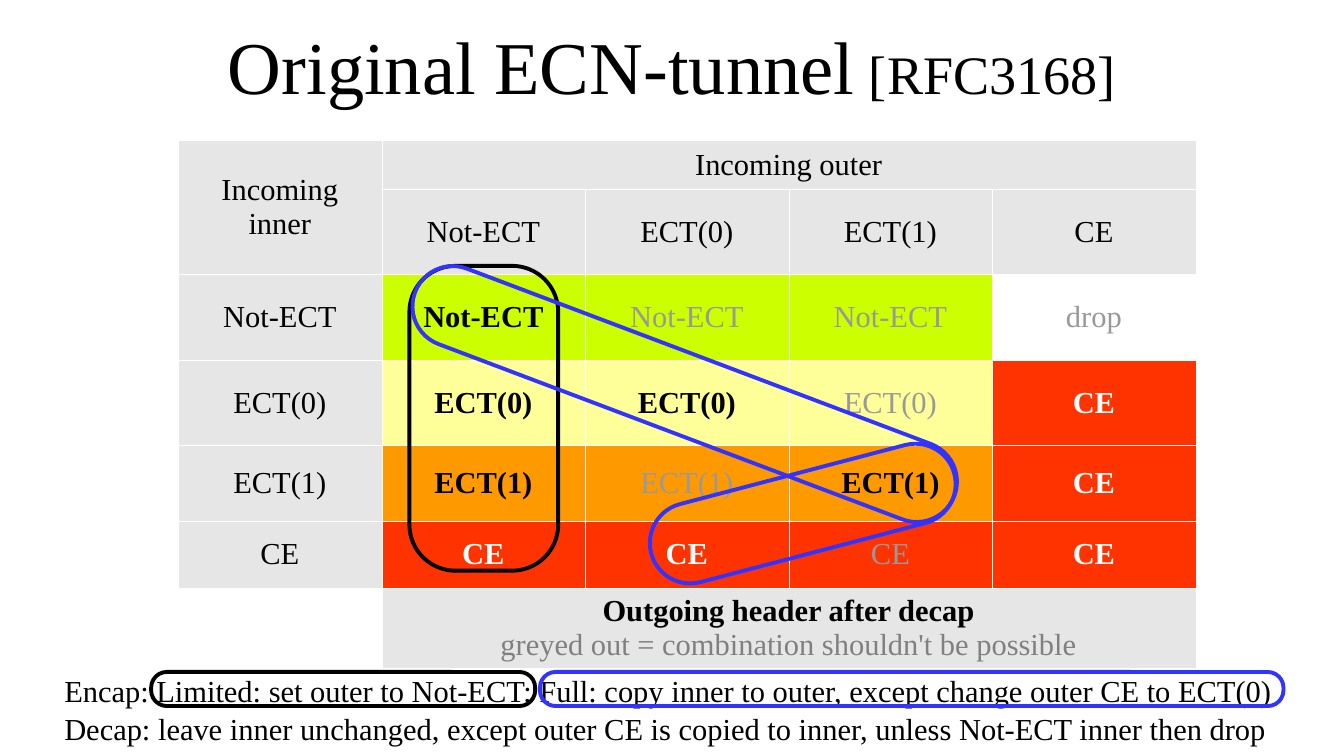
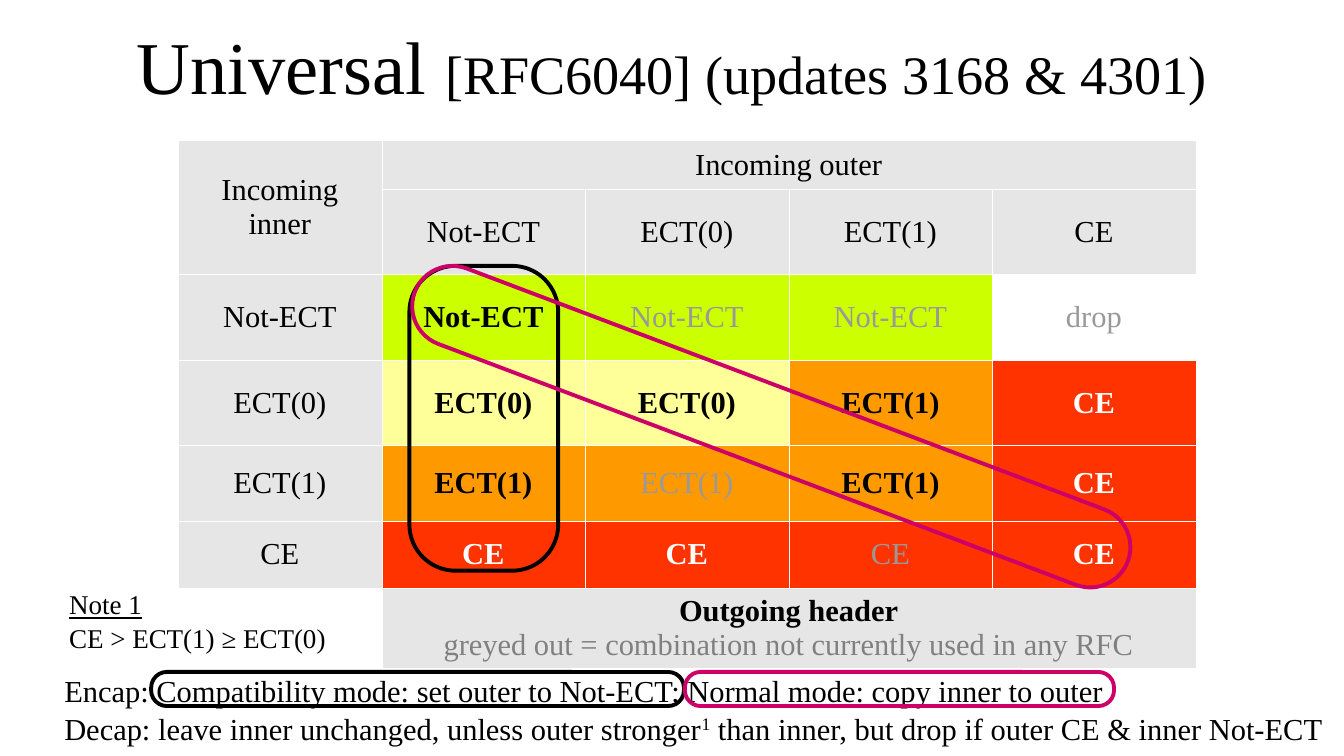
import pptx
import pptx.util
import pptx.dml.color
import pptx.enum.shapes
import pptx.enum.text
import pptx.oxml.ns
import lxml.etree

Cm = pptx.util.Cm
Pt = pptx.util.Pt
ALIGN = pptx.enum.text.PP_ALIGN
MIDDLE = pptx.enum.text.MSO_ANCHOR.MIDDLE

FONT = "Times New Roman"
COLORS = {
    "black": "000000", "white": "FFFFFF", "header": "E6E6E6",
    "unused": "999999", "legend": "808080", "lime": "CCFF00",
    "yellow": "FFFF99", "orange": "FF9900", "red": "FF3300",
    "blue": "3333FF", "magenta": "CC0066",
}
OUTCOME_FILLS = {"Not-ECT": "lime", "ECT(0)": "yellow", "ECT(1)": "orange",
                 "CE": "red", "drop": "white"}
CODEPOINTS = ["Not-ECT", "ECT(0)", "ECT(1)", "CE"]

TABLE_LEFT, TABLE_TOP = 3.71, 2.92
COLUMN_WIDTH = 4.24
ROW_HEIGHTS = [1.02, 1.78, 1.78, 1.78, 1.57, 1.4, 1.4]
NEVER_USED = {(0, 1), (0, 2), (0, 3), (2, 1), (3, 2)}

COLUMN_PILL = ((8.53, 5.54, 3.1, 6.35), 0, 0.31, "black")
TILT = 20.7
MODE_TOP, MODE_HEIGHT, MODE_ROUNDING = 14, 0.71, 0.46

SLIDES = [
    {
        "title": [("Original ECN-tunnel", 44), (" [RFC3168]", 32)],
        "outcomes": [
            ["Not-ECT", "Not-ECT", "Not-ECT", "drop"],
            ["ECT(0)", "ECT(0)", "ECT(0)", "CE"],
            ["ECT(1)", "ECT(1)", "ECT(1)", "CE"],
            ["CE", "CE", "CE", "CE"],
        ],
        "unused": NEVER_USED | {(1, 2)},
        "legend": ("Outgoing header after decap",
                   "greyed out = combination shouldn't be possible"),
        "rules": [
            [("Encap: Limited: set outer to Not-ECT; Full: copy inner to outer, "
              "except change outer CE to ECT(0)", {})],
            [("Decap: leave inner unchanged, except outer CE is copied to inner, "
              "unless Not-ECT inner then drop", {})],
        ],
        "pills": [
            ((13.46, 9.86, 6.53, 1.68), -14.7, 0.5, "blue"),
            COLUMN_PILL,
            ((8.26, 7.37, 12.01, 1.68), TILT, 0.5, "blue"),
        ],
        "modes": [(3.15, 8, "black"), (11.25, 15.49, "blue")],
        "note": [],
    },
    {
        "title": [("Universal ", 44), ("[RFC6040] (updates 3168 & 4301)", 32)],
        "outcomes": [
            ["Not-ECT", "Not-ECT", "Not-ECT", "drop"],
            ["ECT(0)", "ECT(0)", "ECT(1)", "CE"],
            ["ECT(1)", "ECT(1)", "ECT(1)", "CE"],
            ["CE", "CE", "CE", "CE"],
        ],
        "unused": NEVER_USED,
        "legend": ("Outgoing header",
                   "greyed out = combination not currently used in any RFC"),
        "rules": [
            [("Encap: Compatibility mode: set outer to Not-ECT; "
              "Normal mode: copy inner to outer", {})],
            [("Decap: leave inner unchanged, unless outer stronger", {}),
             ("1", {"superscript": True}),
             (" than inner, but drop if outer CE & inner Not-ECT", {})],
        ],
        "pills": [
            COLUMN_PILL,
            ((8.13, 8.05, 15.88, 1.68), TILT, 0.5, "magenta"),
        ],
        "modes": [(3.15, 11.1, "black"), (14.27, 8.94, "magenta")],
        "note": [[("Note 1", {"underline": True})],
                 [("CE > ECT(1) ≥ ECT(0)", {})]],
    },
]


def rgb(name):
    return pptx.dml.color.RGBColor.from_string(COLORS[name])


def add_span(para, text, size=18, color="black", superscript=False, **formats):
    span = para.add_run()
    span.text = text
    for name, value in {"name": FONT, "size": Pt(size), **formats}.items():
        setattr(span.font, name, value)
    span.font.color.rgb = rgb(color)
    if superscript:
        span._r.get_or_add_rPr().set("baseline", "33000")


def prepare_title(layout):
    box = layout.placeholders[0]
    box.left, box.top, box.width, box.height = Cm(1.4), Cm(0.03), Cm(25.2), Cm(2.64)
    frame = box.text_frame
    for side in ("left", "top", "right", "bottom"):
        setattr(frame, "margin_" + side, 0)
    frame.vertical_anchor = MIDDLE


def add_title(page, spans):
    para = page.shapes.title.text_frame.paragraphs[0]
    para.alignment = ALIGN.CENTER
    for text, size in spans:
        add_span(para, text, size)


def style_cell(cell, fill):
    properties = cell._tc.get_or_add_tcPr()
    for side in ("lnL", "lnR", "lnT", "lnB"):
        line = lxml.etree.SubElement(
            properties, pptx.oxml.ns.qn("a:" + side), w=str(Pt(0.06)))
        solid = lxml.etree.SubElement(line, pptx.oxml.ns.qn("a:solidFill"))
        lxml.etree.SubElement(
            solid, pptx.oxml.ns.qn("a:srgbClr"), val=COLORS["white"])
    cell.fill.solid()
    cell.fill.fore_color.rgb = rgb(fill)
    cell.vertical_anchor = MIDDLE
    cell.text_frame.paragraphs[0].alignment = ALIGN.CENTER


def add_outcome_table(page, content):
    rows, columns = len(ROW_HEIGHTS), len(CODEPOINTS) + 1
    table = page.shapes.add_table(
        rows, columns, Cm(TABLE_LEFT), Cm(TABLE_TOP),
        Cm(COLUMN_WIDTH * columns), Cm(sum(ROW_HEIGHTS))).table
    table.first_row = table.horz_banding = False
    for column in table.columns:
        column.width = Cm(COLUMN_WIDTH)
    for row, height in zip(table.rows, ROW_HEIGHTS):
        row.height = Cm(height)

    fills = {(rows - 1, 0): "white"}
    texts = {(0, 0): ("Incoming inner", {}), (0, 1): ("Incoming outer", {})}
    for index, codepoint in enumerate(CODEPOINTS):
        texts[1, index + 1] = texts[index + 2, 0] = (codepoint, {})
    for inner, outcomes in enumerate(content["outcomes"]):
        for outer, outcome in enumerate(outcomes):
            used = (inner, outer) not in content["unused"]
            strong = "white" if outcome == "CE" else "black"
            place = inner + 2, outer + 1
            fills[place] = OUTCOME_FILLS[outcome]
            texts[place] = (outcome, {"bold": used,
                                      "color": strong if used else "unused"})

    for row in range(rows):
        for column in range(columns):
            cell = table.cell(row, column)
            style_cell(cell, fills.get((row, column), "header"))
            if (row, column) in texts:
                text, formats = texts[row, column]
                add_span(cell.text_frame.paragraphs[0], text, **formats)

    heading, explanation = content["legend"]
    para = table.cell(rows - 1, 1).text_frame.paragraphs[0]
    add_span(para, heading, bold=True)
    para.add_line_break()
    add_span(para, explanation, color="legend")

    for first, last in [((0, 0), (1, 0)), ((0, 1), (0, columns - 1)),
                        ((rows - 1, 1), (rows - 1, columns - 1))]:
        table.cell(*first).merge(table.cell(*last))


def add_text(page, place, lines, size):
    frame = page.shapes.add_textbox(*map(Cm, place)).text_frame
    frame.word_wrap = True
    for index, spans in enumerate(lines):
        para = frame.add_paragraph() if index else frame.paragraphs[0]
        para.space_after = Pt(1)
        for text, formats in spans:
            add_span(para, text, size, **formats)


def add_pill(page, place, rotation, rounding, color):
    pill = page.shapes.add_shape(
        pptx.enum.shapes.MSO_SHAPE.ROUNDED_RECTANGLE, *map(Cm, place))
    pill.adjustments[0] = rounding
    pill.rotation = rotation
    pill.shadow.inherit = False
    pill.fill.background()
    pill.line.color.rgb = rgb(color)
    pill.line.width = Pt(2.3)


def main():
    deck = pptx.Presentation()
    deck.slide_width, deck.slide_height = Cm(28), Cm(15.75)
    layout = deck.slide_layouts[5]
    prepare_title(layout)
    for content in SLIDES:
        page = deck.slides.add_slide(layout)
        add_title(page, content["title"])
        add_outcome_table(page, content)
        for pill in content["pills"]:
            add_pill(page, *pill)
        add_text(page, (1.09, 13.87, 26.85, 1.65), content["rules"], 18)
        for left, width, color in content["modes"]:
            add_pill(page, (left, MODE_TOP, width, MODE_HEIGHT), 0,
                     MODE_ROUNDING, color)
        if content["note"]:
            add_text(page, (1.19, 12.12, 6.2, 1.5), content["note"], 16)
    deck.save("out.pptx")


if __name__ == "__main__":
    main()
